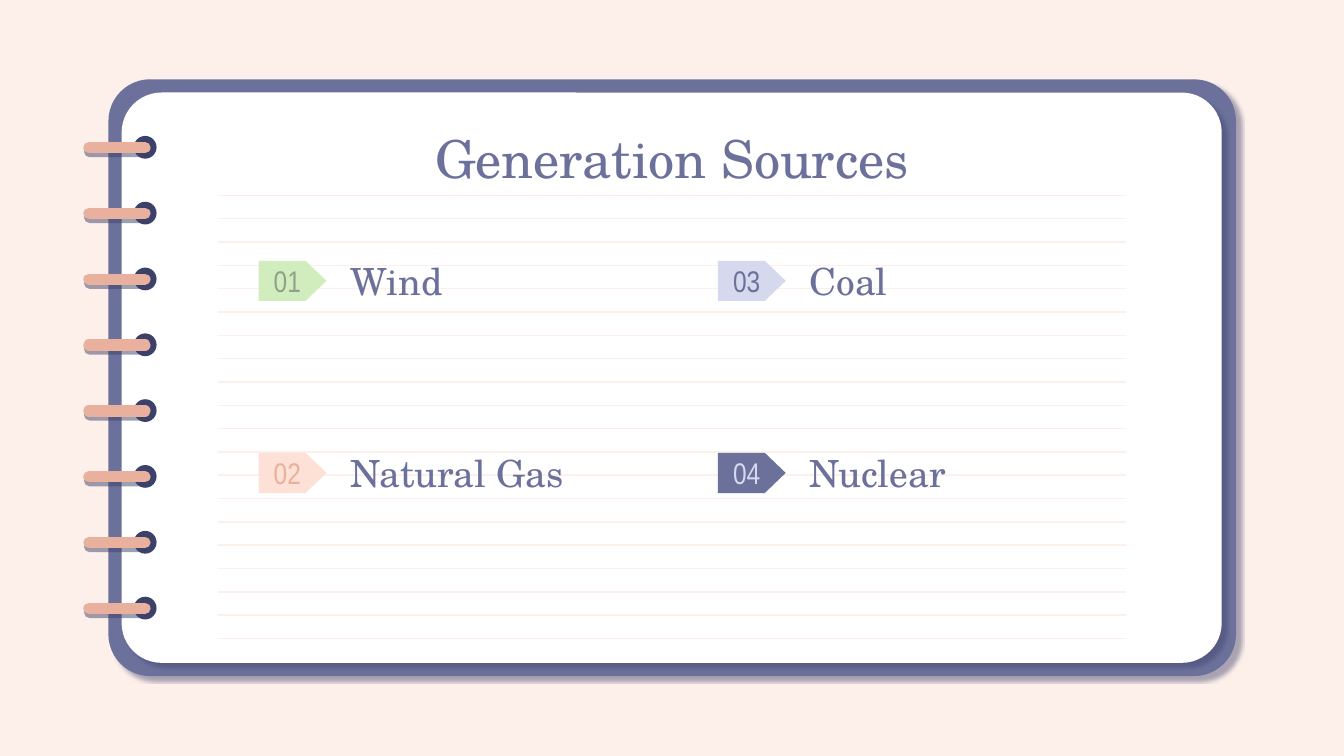
from dataclasses import dataclass

from lxml.etree import SubElement
from pptx import Presentation
from pptx.dml.color import RGBColor
from pptx.enum.shapes import MSO_CONNECTOR, MSO_SHAPE
from pptx.enum.text import MSO_ANCHOR, PP_ALIGN
from pptx.oxml.ns import qn
from pptx.util import Cm, Pt


@dataclass(frozen=True)
class Theme:
    background: str = "FDEFEA"
    cover: str = "6B719B"
    paper: str = "FFFFFF"
    ink: str = "3C4169"
    ring: str = "E9B09D"
    green: str = "D1EDBE"
    moss: str = "92A189"
    peach: str = "FDE0D6"
    lavender: str = "D6D9ED"
    heading_font: str = "TeX Gyre Schola"
    number_font: str = "Arial Narrow"
    title_size: int = 28
    source_size: int = 20
    number_size: int = 16


class NotebookSlide:
    """Draws notebook elements on one slide in one theme, with lengths in centimetres."""

    def __init__(self, slide, theme):
        self.slide = slide
        self.theme = theme
        fill = slide.background.fill
        fill.solid()
        fill.fore_color.rgb = RGBColor.from_string(theme.background)

    def effects(self, shape, shadow=None):
        properties = shape._element.spPr
        effect_list = properties.find(qn("a:effectLst"))
        if effect_list is None:
            effect_list = SubElement(properties, qn("a:effectLst"))
        if shadow:
            opacity, blur, distance, angle = shadow
            outer = SubElement(
                effect_list, qn("a:outerShdw"),
                blurRad=str(Pt(blur)), dist=str(Pt(distance)),
                dir=str(angle * 60000), algn="bl", rotWithShape="0",
            )
            color = SubElement(outer, qn("a:srgbClr"), val=self.theme.ink)
            SubElement(color, qn("a:alpha"), val=str(opacity * 1000))

    def shape(self, kind, left, top, width, height, color, adjustment=None, shadow=None):
        shape = self.slide.shapes.add_shape(kind, Cm(left), Cm(top), Cm(width), Cm(height))
        shape.fill.solid()
        shape.fill.fore_color.rgb = RGBColor.from_string(color)
        shape.line.fill.background()
        shape.shadow.inherit = False
        if adjustment is not None:
            shape.adjustments[0] = adjustment
        self.effects(shape, shadow)
        return shape

    def line(self, left, right, top, color, width, shadow=None):
        line = self.slide.shapes.add_connector(
            MSO_CONNECTOR.STRAIGHT, Cm(left), Cm(top), Cm(right), Cm(top)
        )
        line.line.color.rgb = RGBColor.from_string(color)
        line.line.width = Pt(width)
        line._element.spPr.find(qn("a:ln")).set("cap", "rnd")
        self.effects(line, shadow)

    def label(self, shape, text, font, size, color, alignment, side_margin=0.25):
        frame = shape.text_frame
        frame.word_wrap = True
        frame.vertical_anchor = MSO_ANCHOR.MIDDLE
        frame.margin_left = frame.margin_right = Cm(side_margin)
        frame.margin_top = frame.margin_bottom = Cm(0.25)
        paragraph = frame.paragraphs[0]
        paragraph.alignment = alignment
        run = paragraph.add_run()
        run.text = text
        run.font.name = font
        run.font.size = Pt(size)
        run.font.color.rgb = RGBColor.from_string(color)

    def heading(self, text, left, top, width, height, size, alignment=PP_ALIGN.LEFT):
        box = self.slide.shapes.add_textbox(Cm(left), Cm(top), Cm(width), Cm(height))
        self.label(box, text, self.theme.heading_font, size, self.theme.cover, alignment)

    def number_tag(self, number, left, top, fill, color):
        tag = self.shape(MSO_SHAPE.PENTAGON, left, top, 1.28, 0.76, fill, 0.52)
        self.label(tag, number, self.theme.number_font, self.theme.number_size,
                   color, PP_ALIGN.CENTER, side_margin=0)

    def ring(self, middle):
        self.shape(MSO_SHAPE.OVAL, 2.53, middle - 0.22, 0.43, 0.43, self.theme.ink)
        self.line(1.68, 2.74, middle, self.theme.ring, 6, shadow=(50, 0, 2.2, 80))

    def notebook(self):
        shadow = (44, 1.1, 4.5, 44)
        self.shape(MSO_SHAPE.ROUNDED_RECTANGLE, 2.05, 1.5, 21.31, 11.28,
                   self.theme.cover, 0.07, shadow)
        self.shape(MSO_SHAPE.ROUNDED_RECTANGLE, 2.3, 1.75, 20.79, 10.78,
                   self.theme.paper, 0.07, shadow)
        for index in range(20):
            self.line(4.12, 21.28, 3.69 + index * 8.38 / 19, self.theme.background, 0.75)
        for index in range(8):
            self.ring(2.79 + index * 8.71 / 7)


def main():
    theme = Theme()
    presentation = Presentation()
    presentation.slide_width = Cm(25.4)
    presentation.slide_height = Cm(14.29)
    slide = presentation.slides.add_slide(presentation.slide_layouts[6])
    page = NotebookSlide(slide, theme)
    page.notebook()
    page.heading("Generation Sources", 4.5, 2.4, 16.4, 1.16, theme.title_size, PP_ALIGN.CENTER)
    sources = [
        ("Wind", theme.green, theme.moss),
        ("Natural Gas", theme.peach, theme.ring),
        ("Coal", theme.lavender, theme.cover),
        ("Nuclear", theme.cover, theme.lavender),
    ]
    for index, (name, fill, color) in enumerate(sources):
        column, row = divmod(index, 2)
        left = 4.89 + column * 8.68
        top = 4.93 + row * 3.63
        page.heading(name, left + 1.48, top, 5.44, 0.76, theme.source_size)
        page.number_tag(f"{index + 1:02}", left, top, fill, color)
    presentation.save("out.pptx")


if __name__ == "__main__":
    main()
